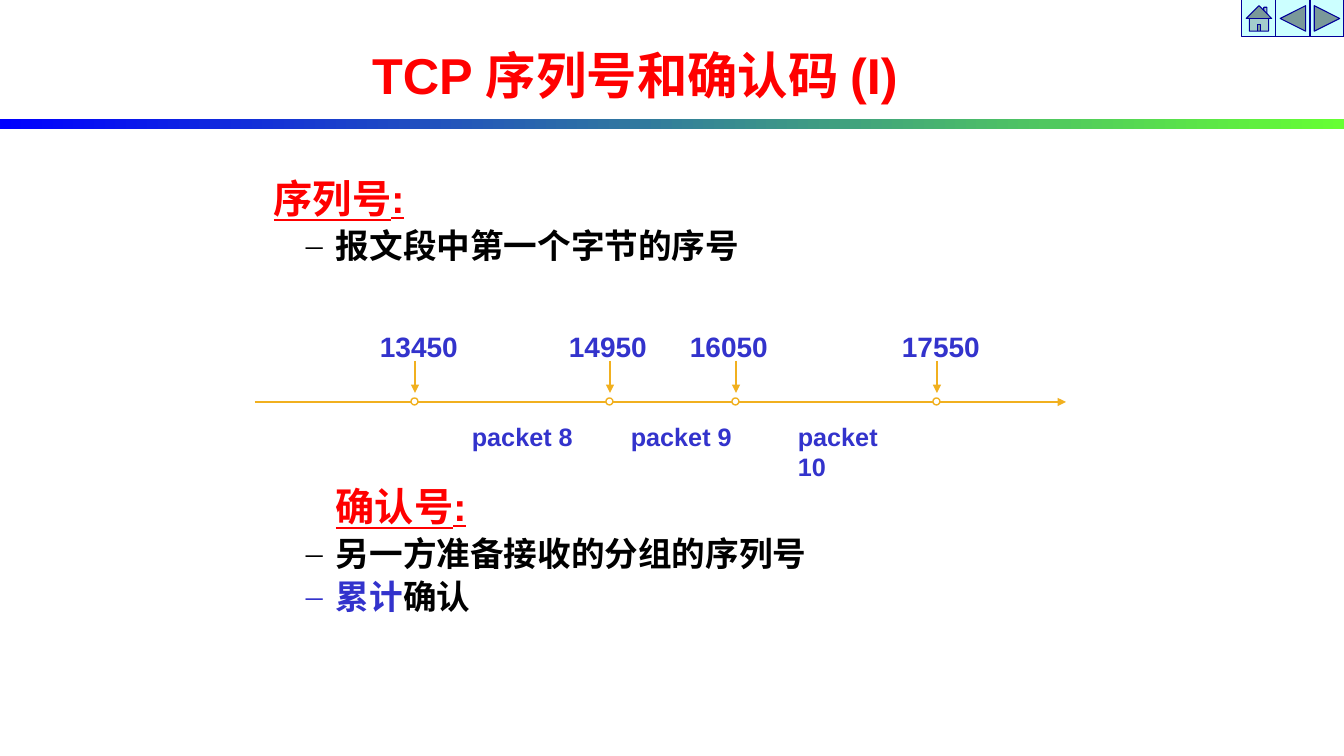
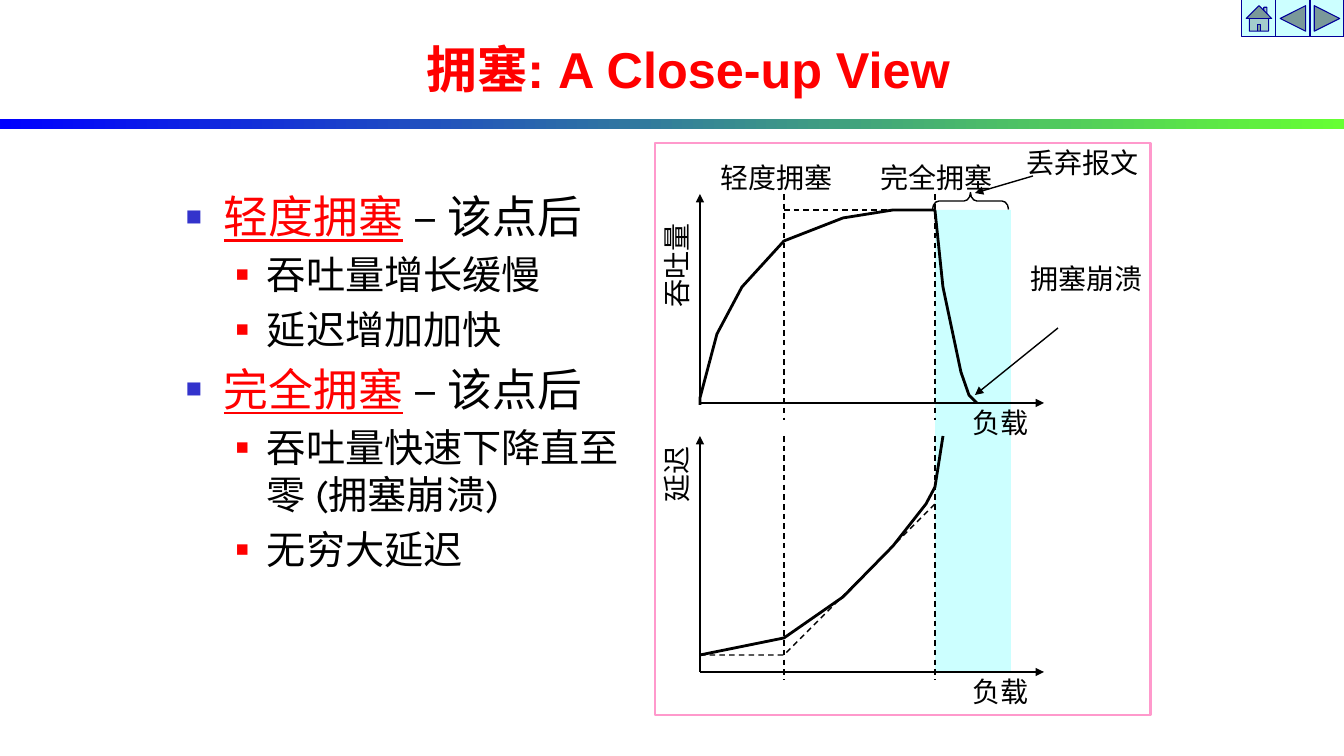
import lxml.etree
import pptx
import pptx.dml.color
import pptx.enum.dml
import pptx.enum.shapes
import pptx.enum.text
import pptx.oxml.ns
import pptx.util

SCALE = 914400 / 100.8
WIDE, HIGH = 1344, 756
KIND = pptx.enum.shapes.MSO_SHAPE
ALIGN = pptx.enum.text.PP_ALIGN
DASH = pptx.enum.dml.MSO_LINE_DASH_STYLE.DASH
HUES = {
    "red": "FF0000", "black": "000000", "white": "FFFFFF", "blue": "3333CC",
    "gold": "F1B01F", "pink": "FF99CC", "aqua": "CCFFFF", "navy": "000099",
    "start": "0000FF", "end": "66FF33",
}
FONTS = {
    "title": {"name": "Arial", "size": 36, "bold": True, "hue": "red"},
    "head": {"name": "Arial", "size": 28, "bold": True, "underline": True, "hue": "red"},
    "point": {"name": "Times New Roman", "size": 24, "bold": True, "hue": "black"},
    "mark": {"name": "Arial", "size": 24, "bold": True, "hue": "blue"},
    "count": {"name": "Arial", "size": 20, "bold": True, "hue": "blue"},
    "packet": {"name": "Arial", "size": 18, "bold": True, "hue": "blue"},
    "label": {"name": "Arial", "size": 20, "hue": "black"},
    "term": {"name": "Karla", "size": 32, "underline": True, "hue": "red"},
    "text": {"name": "Karla", "size": 32, "hue": "black"},
    "dash": {"name": "Arial", "size": 32, "hue": "black"},
    "sub": {"name": "Karla", "size": 28, "hue": "black"},
}
LEVELS = {
    "plain": {"line": 0.9, "gap": 5.6},
    "inset": {"line": 0.9, "gap": 5.6, "left": 62, "hang": 0},
    "point": {"line": 0.9, "gap": 4.8, "left": 62, "hang": 30, "sign": "–",
              "face": "Times New Roman"},
    "main": {"gap": 6.4, "left": 38, "hang": 38, "sign": "■", "face": "Arial",
             "hue": "blue", "share": 60},
    "sub": {"gap": 5.6, "left": 81, "hang": 31, "sign": "■", "face": "Arial",
            "hue": "red", "share": 55},
}


def px(size):
    """Turn px into EMU."""
    return pptx.util.Emu(round(size * SCALE))


def rgb(hue):
    """Give the colour of a named hue."""
    return pptx.dml.color.RGBColor.from_string(HUES[hue])


def add(node, tag, **vals):
    """Add an XML child with its values."""
    return lxml.etree.SubElement(node, pptx.oxml.ns.qn(tag), **vals)


class Deck:
    """Hold the style and the current slide."""

    def __init__(self):
        """Start an empty deck."""
        self.file = pptx.Presentation()
        self.file.slide_width, self.file.slide_height = px(WIDE), px(HIGH)
        self.slide = None

    def page(self, title, left, top, high, align):
        """Add a slide with the shared bar, buttons and title."""
        self.slide = self.file.slides.add_slide(self.file.slide_layouts[5])
        kinds = (KIND.ACTION_BUTTON_HOME, KIND.ACTION_BUTTON_BACK_OR_PREVIOUS,
                 KIND.ACTION_BUTTON_FORWARD_OR_NEXT)
        for step, kind in enumerate(kinds):
            self.shape(kind, (WIDE - 34 * (3 - step), 0, 34, 37), "aqua", "navy", 0.75)
        bar = self.shape(KIND.RECTANGLE, (0, 119, WIDE, 10))
        bar.fill.gradient()
        bar.fill.gradient_angle = 0
        for stop, hue in zip(bar.fill.gradient_stops, ("start", "end")):
            stop.color.rgb = rgb(hue)
        head = self.slide.shapes.title
        for name, size in zip(("left", "top", "width", "height"), (left, top, 857, high)):
            setattr(head, name, px(size))
        frame = head.text_frame
        frame.vertical_anchor = pptx.enum.text.MSO_ANCHOR.TOP
        frame.auto_size = pptx.enum.text.MSO_AUTO_SIZE.NONE
        frame.paragraphs[0].alignment = align
        self.run(frame.paragraphs[0], title, "title")

    def run(self, para, text, style):
        """Add a run in a named font style."""
        run = para.add_run()
        run.text = text
        for name, val in FONTS[style].items():
            if name == "hue":
                run.font.color.rgb = rgb(val)
            else:
                setattr(run.font, name, pptx.util.Pt(val) if name == "size" else val)

    def stroke(self, line, hue, size, dash=False):
        """Set the colour, width and dash of a line."""
        line.color.rgb = rgb(hue)
        line.width = pptx.util.Pt(size)
        if dash:
            line.dash_style = DASH

    def shape(self, kind, box, fill=None, hue=None, size=1):
        """Add a preset shape."""
        shape = self.slide.shapes.add_shape(kind, *map(px, box))
        shape.shadow.inherit = False
        if fill:
            shape.fill.solid()
            shape.fill.fore_color.rgb = rgb(fill)
        else:
            shape.fill.background()
        if hue:
            self.stroke(shape.line, hue, size)
        else:
            shape.line.fill.background()
        return shape

    def line(self, start, end, hue="black", size=1, dash=False, arrow=False):
        """Add a straight line or arrow."""
        line = self.slide.shapes.add_connector(
            pptx.enum.shapes.MSO_CONNECTOR.STRAIGHT, *map(px, start + end))
        self.stroke(line.line, hue, size, dash)
        form = line.element.spPr
        if arrow:
            add(form.find(pptx.oxml.ns.qn("a:ln")), "a:tailEnd", type="triangle")
        add(form, "a:effectLst")

    def curve(self, spots, size=2, dash=False):
        """Add an open outline through the given spots."""
        path = self.slide.shapes.build_freeform(*spots[0], scale=SCALE)
        path.add_line_segments(spots[1:], close=False)
        shape = path.convert_to_shape()
        shape.shadow.inherit = False
        shape.fill.background()
        self.stroke(shape.line, "black", size, dash)

    def label(self, text, box, style, align=ALIGN.LEFT, turn=0):
        """Add a one-run text box."""
        shape = self.slide.shapes.add_textbox(*map(px, box))
        shape.rotation = turn
        shape.text_frame.word_wrap = align == ALIGN.LEFT
        para = shape.text_frame.paragraphs[0]
        para.alignment = align
        self.run(para, text, style)

    def list(self, box, items):
        """Add a text box of levelled paragraphs."""
        frame = self.slide.shapes.add_textbox(*map(px, box)).text_frame
        frame.word_wrap = True
        for rank, (name, runs) in enumerate(items):
            para = frame.add_paragraph() if rank else frame.paragraphs[0]
            self.level(para, LEVELS[name])
            para.space_before = pptx.util.Pt(LEVELS[name]["gap"] if rank else 0)
            for text, style in runs:
                self.run(para, text, style)

    def level(self, para, form):
        """Set the indent, bullet and line spacing of a paragraph."""
        props = para._p.get_or_add_pPr()
        if "left" in form:
            props.set("marL", str(px(form["left"])))
            props.set("indent", str(px(-form["hang"])))
        if "hue" in form:
            add(add(props, "a:buClr"), "a:srgbClr", val=HUES[form["hue"]])
            add(props, "a:buSzPct", val=str(form["share"] * 1000))
        if "sign" in form:
            add(props, "a:buFont", typeface=form["face"])
            add(props, "a:buChar", char=form["sign"])
        if "line" in form:
            para.line_spacing = form["line"]


def order(deck):
    """Build the slide on sequence numbers."""
    deck.page("TCP 序列号和确认码 (I)", 362, 39, 78, ALIGN.LEFT)
    deck.list((264, 175, 858, 100), [
        ("plain", [("序列号:", "head")]),
        ("point", [("报文段中第一个字节的序号", "point")]),
    ])
    deck.list((264, 483, 858, 140), [
        ("inset", [("确认号:", "head")]),
        ("point", [("另一方准备接收的分组的序列号", "point")]),
        ("point", [("累计", "mark"), ("确认", "point")]),
    ])
    deck.line((255, 402), (1066, 402), "gold", 2, arrow=True)
    for mid, left, text in ((415, 370, "13450"), (610, 559, "14950"),
                            (736, 680, "16050"), (937, 892, "17550")):
        deck.shape(KIND.OVAL, (mid - 4, 398, 7, 7), "white", "gold")
        deck.line((mid, 361), (mid, 393), "gold", arrow=True)
        deck.label(text, (left, 325, 110, 43), "count")
    for left, text in ((462, "packet 8"), (621, "packet 9"), (788, "packet 10")):
        deck.label(text, (left, 416, 130, 40), "packet")


def jam(deck):
    """Build the slide on congestion."""
    deck.page("拥塞: A Close-up View", 260, 33, 77, ALIGN.CENTER)
    deck.shape(KIND.RECTANGLE, (655, 143, 496, 572), "white", "pink", 2)
    deck.shape(KIND.RECTANGLE, (935, 210, 76, 462), "aqua")
    items = []
    for term, subs in (("轻度拥塞", ("吞吐量增长缓慢", "延迟增加加快")),
                       ("完全拥塞", ("吞吐量快速下降直至零 (拥塞崩溃)", "无穷大延迟"))):
        items.append(("main", [(term, "term"), (" ", "text"), ("– ", "dash"),
                               ("该点后", "text")]))
        items += [("sub", [(text, "sub")]) for text in subs]
    deck.list((176, 184, 466, 479), items)

    left, mild, full = 700, 784, 935
    for top, base, low in ((194, 403, 420), (436, 672, 680)):
        deck.line((left, base), (left, top), size=2, arrow=True)
        deck.line((left, base), (1044, base), size=2, arrow=True)
        for mark in (mild, full):
            deck.line((mark, top), (mark, low), dash=True)
    deck.line((mild, 210), (full, 210), dash=True)
    deck.curve([(left, 405), (left, 398), (717, 334), (742, 287), (mild, 241), (843, 218),
                (893, 210), (full, 210), (943, 287), (961, 372), (969, 395), (977, 403)])
    deck.curve([(left, 655), (mild, 655), (full, 504)], 1, True)
    deck.curve([(left, 655), (mild, 638), (843, 597), (893, 546), (926, 504),
                (full, 487), (943, 436)])
    for text, box, turn in (
            ("负载", (963, 670, 76, 43), 0), ("负载", (963, 401, 76, 43), 0),
            ("吞吐量", (624, 244, 105, 43), 270), ("延迟", (638, 453, 76, 43), 270),
            ("轻度拥塞", (710, 156, 133, 43), 0), ("完全拥塞", (870, 156, 133, 43), 0),
            ("拥塞崩溃", (1020, 257, 133, 43), 0), ("丢弃报文", (1016, 141, 133, 43), 0)):
        deck.label(text, box, "label", ALIGN.CENTER, turn)
    brace = deck.shape(KIND.RIGHT_BRACE, (962, 163, 17, 76), None, "black")
    brace.rotation = 270
    brace.adjustments[0] = 0.38
    deck.line((1058, 328), (975, 395), arrow=True)
    deck.line((1033, 176), (975, 193), arrow=True)


def main():
    """Build and save the deck."""
    deck = Deck()
    order(deck)
    jam(deck)
    deck.file.save("out.pptx")


if __name__ == "__main__":
    main()
